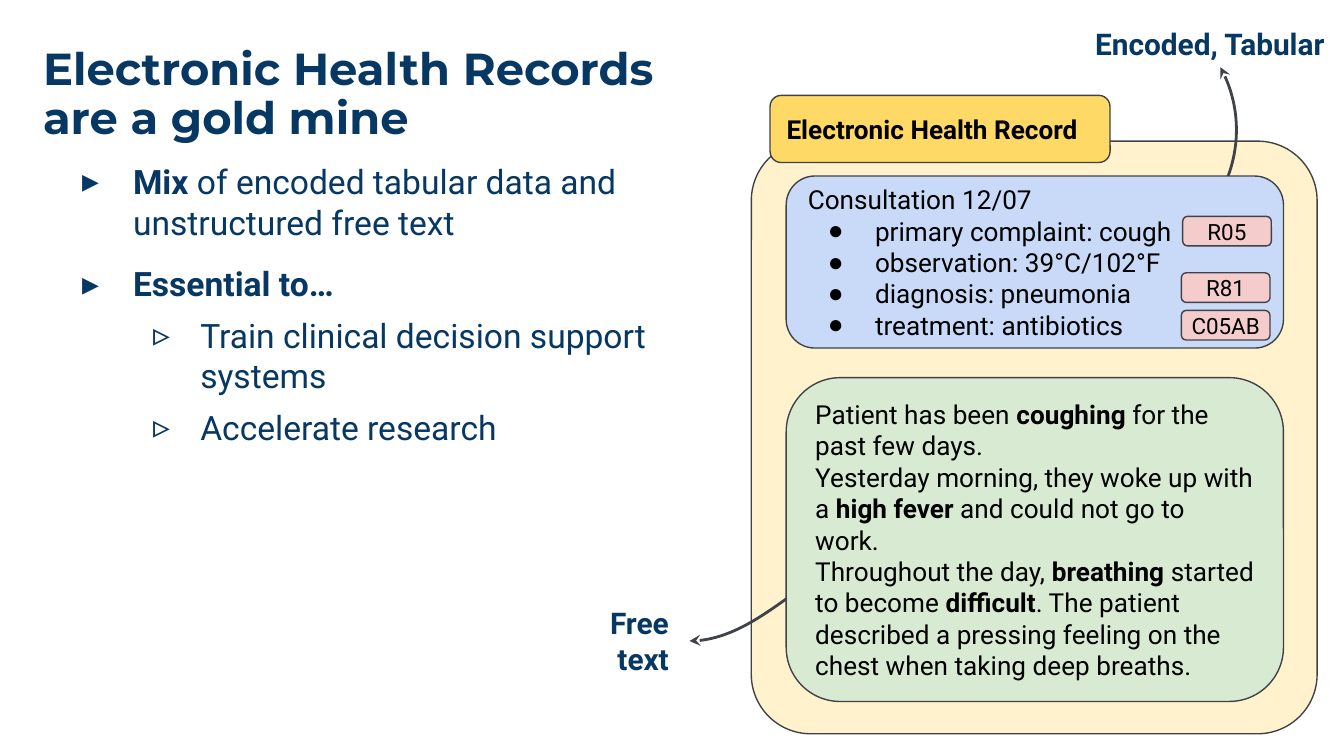
from lxml import etree
from pptx import Presentation
from pptx.dml.color import RGBColor
from pptx.enum import shapes, text
from pptx.oxml import ns
from pptx.util import Inches, Pt

COLORS = {
    "navy": "073763", "black": "000000", "outline": "3F4247",
    "record": "FFF2CC", "header": "FFD966", "consultation": "C9DAF8",
    "notes": "D9EAD3", "code": "F4CCCC",
}
SLIDE_WIDTH = 10
SLIDE_HEIGHT = SLIDE_WIDTH * 9 / 16
TITLE = "Electronic Health Records are a gold mine"
POINTS = [
    (0, 0, [("Mix ", True), ("of encoded tabular data and unstructured free text", False)]),
    (0, 11.5, [("Essential to…", True)]),
    (1, 6, [("Train clinical decision support systems", False)]),
    (1, 6, [("Accelerate research", False)]),
]
POINT_BULLETS = [("▸", 0.5, 0.38), ("▹", 1, 0.35)]
HEADER = [[("Electronic Health Record", True)]]
VISIT = "Consultation 12/07"
FINDINGS = [
    "primary complaint: cough",
    "observation: 39°C/102°F",
    "diagnosis: pneumonia",
    "treatment: antibiotics",
]
CODES = [("R05", 8.8, 1.61), ("R81", 8.79, 2.03), ("C05AB", 8.79, 2.31)]
NOTES = [
    [("Patient has been ", False), ("coughing ", True), ("for the past few days.", False)],
    [("Yesterday morning, they woke up with a ", False), ("high fever", True),
     (" and could not go to work.", False)],
    [("Throughout the day, ", False), ("breathing ", True), ("started to become ", False),
     ("difficult", True),
     (". The patient described a pressing feeling on the chest when taking deep breaths.", False)],
]
LABELS = [
    ((8.05, 0.09, 2.33, 0.42), text.PP_ALIGN.LEFT, ["Encoded, Tabular"]),
    ((4.44, 4.4, 0.69, 0.42), text.PP_ALIGN.CENTER, ["Free ", "text"]),
]
ARROWS = [
    [(9.08, 1.44), (9.23, 1.16), (9.24, 0.78), (9.08, 0.5)],
    [(5.97, 4.37), (5.72, 4.55), (5.44, 4.77), (5.13, 4.77)],
]
CARD_LEFT, CARD_WIDTH = 5.85, 3.7


def rgb(name):
    return RGBColor.from_string(COLORS[name])


def place(shape, box):
    shape.left, shape.top, shape.width, shape.height = map(Inches, box)


def set_frame(frame, anchor, side=0.1):
    frame.word_wrap = True
    frame.auto_size = text.MSO_AUTO_SIZE.NONE
    frame.vertical_anchor = anchor
    frame.margin_left = frame.margin_right = Inches(side)
    frame.margin_top = frame.margin_bottom = Inches(0.1)


def style(run, size, color, bold=False, font="Roboto"):
    run.font.name = font
    run.font.size = Pt(size)
    run.font.bold = bold
    run.font.color.rgb = rgb(color)


def add_bullet(paragraph, mark, color, margin, hanging, font="Roboto"):
    props = paragraph._p.get_or_add_pPr()
    props.set("marL", str(Inches(margin)))
    props.set("indent", str(-Inches(hanging)))
    tint = etree.SubElement(props, ns.qn("a:buClr"))
    etree.SubElement(tint, ns.qn("a:srgbClr"), val=COLORS[color])
    etree.SubElement(props, ns.qn("a:buFont"), typeface=font)
    etree.SubElement(props, ns.qn("a:buChar"), char=mark)


def write(frame, lines, size, color, align=text.PP_ALIGN.LEFT):
    for index, line in enumerate(lines):
        paragraph = frame.paragraphs[0] if index == 0 else frame.add_paragraph()
        paragraph.alignment = align
        for words, bold in line:
            run = paragraph.add_run()
            run.text = words
            style(run, size, color, bold)


def add_card(slide, box, fill, radius=0.167, side=0.1):
    card = slide.shapes.add_shape(shapes.MSO_SHAPE.ROUNDED_RECTANGLE, *map(Inches, box))
    card.adjustments[0] = radius
    card.shadow.inherit = False
    card.fill.solid()
    card.fill.fore_color.rgb = rgb(fill)
    card.line.color.rgb = rgb("outline")
    card.line.width = Pt(0.75)
    set_frame(card.text_frame, text.MSO_ANCHOR.MIDDLE, side)
    return card.text_frame


def add_curved_arrow(slide, points):
    start, *rest = [(Inches(x), Inches(y)) for x, y in points]
    builder = slide.shapes.build_freeform(*start)
    builder.add_line_segments(rest, close=False)
    arrow = builder.convert_to_shape()
    segments = list(arrow._element.iter(ns.qn("a:lnTo")))
    curve = etree.SubElement(segments[0].getparent(), ns.qn("a:cubicBezTo"))
    for segment in segments:
        curve.append(segment[0])
        segment.getparent().remove(segment)
    arrow.shadow.inherit = False
    arrow.fill.background()
    arrow.line.color.rgb = rgb("outline")
    arrow.line.width = Pt(1.5)
    etree.SubElement(arrow.line._get_or_add_ln(), ns.qn("a:tailEnd"), type="stealth")


def main():
    deck = Presentation()
    deck.slide_width, deck.slide_height = Inches(SLIDE_WIDTH), Inches(SLIDE_HEIGHT)
    slide = deck.slides.add_slide(deck.slide_layouts[1])

    title, body = slide.placeholders
    place(title, (0.22, 0.25, 5.14, 0.94))
    set_frame(title.text_frame, text.MSO_ANCHOR.TOP)
    title.text_frame.text = TITLE
    heading = title.text_frame.paragraphs[0]
    heading.alignment = text.PP_ALIGN.LEFT
    heading.line_spacing = 0.9
    style(heading.runs[0], 24, "navy", True, "Montserrat")

    place(body, (0.39, 1.1, 4.97, 2.5))
    set_frame(body.text_frame, text.MSO_ANCHOR.TOP)
    write(body.text_frame, [line for _, _, line in POINTS], 18, "navy")
    for paragraph, (level, before, _) in zip(body.text_frame.paragraphs, POINTS):
        mark, margin, hanging = POINT_BULLETS[level]
        paragraph.level = level
        paragraph.space_before = Pt(before)
        add_bullet(paragraph, mark, "navy", margin, hanging)

    add_card(slide, (5.59, 1.05, 4.21, 4.41), "record", radius=0.105)
    header = add_card(slide, (5.73, 0.71, 2.53, 0.5), "header")
    write(header, HEADER, 14, "black")

    for points in ARROWS:
        add_curved_arrow(slide, points)
    for box, align, lines in LABELS:
        label = slide.shapes.add_textbox(*map(Inches, box)).text_frame
        set_frame(label, text.MSO_ANCHOR.TOP)
        write(label, [[(line, True)] for line in lines], 16, "navy", align)

    notes = add_card(slide, (CARD_LEFT, 2.81, CARD_WIDTH, 2.41), "notes")
    write(notes, NOTES, 14, "black")

    consultation = add_card(slide, (CARD_LEFT, 1.31, CARD_WIDTH, 1.28), "consultation")
    write(consultation, [[(line, False)] for line in [VISIT, *FINDINGS]], 14, "black")
    for paragraph in consultation.paragraphs[1:]:
        add_bullet(paragraph, "●", "black", 0.5, 0.35, "Arial")

    for code, left, top in CODES:
        badge = add_card(slide, (left, top, 0.66, 0.22), "code", side=0)
        write(badge, [[(code, False)]], 12, "black", text.PP_ALIGN.CENTER)

    deck.save("out.pptx")


if __name__ == "__main__":
    main()
